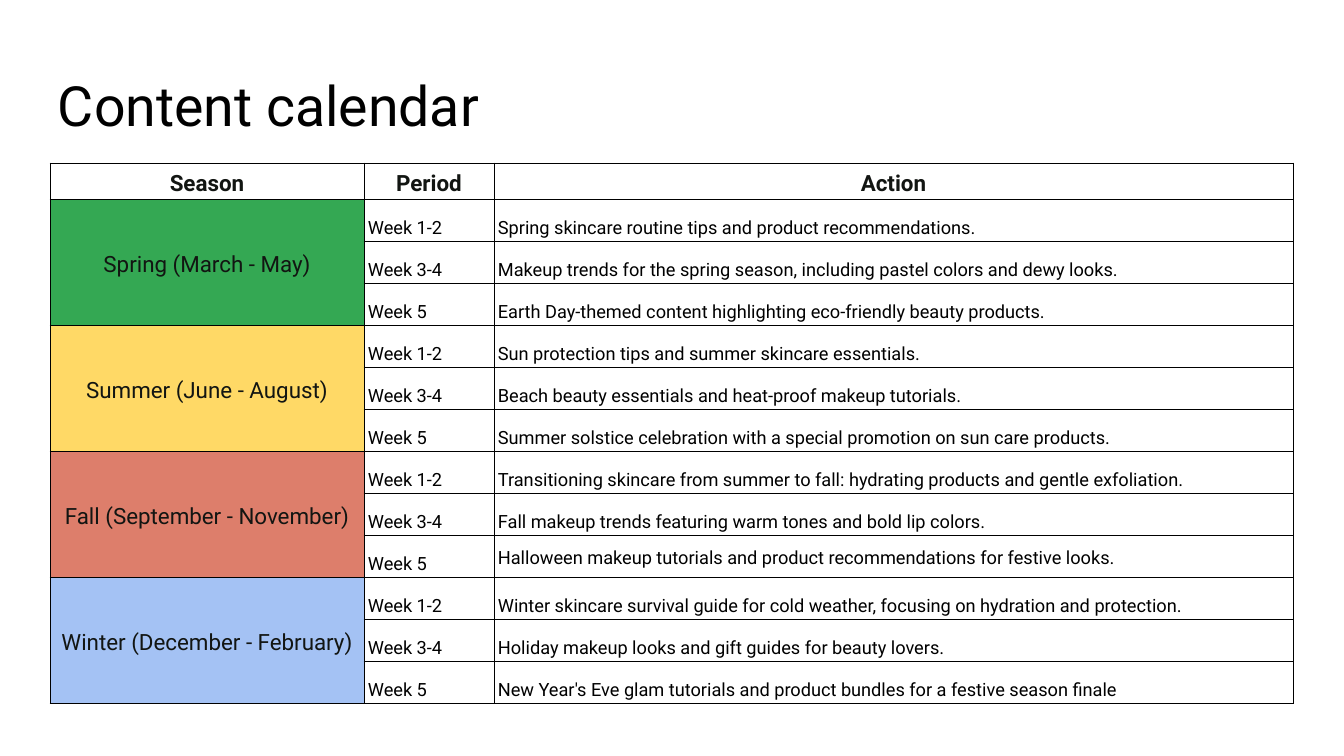
import lxml.etree
import pptx
import pptx.dml.color
import pptx.enum.text
import pptx.oxml.ns
import pptx.util

# Content
TITLE = "Content calendar"
HEADINGS = ["Season", "Period", "Action"]
PERIODS = ["Week 1-2", "Week 3-4", "Week 5"]
SEASONS = [
    ("Spring (March - May)", "34A853", [
        "Spring skincare routine tips and product recommendations.",
        "Makeup trends for the spring season, including pastel colors and dewy looks.",
        "Earth Day-themed content highlighting eco-friendly beauty products.",
    ]),
    ("Summer (June - August)", "FFD966", [
        "Sun protection tips and summer skincare essentials.",
        "Beach beauty essentials and heat-proof makeup tutorials.",
        "Summer solstice celebration with a special promotion on sun care products.",
    ]),
    ("Fall (September - November)", "DD7E6B", [
        "Transitioning skincare from summer to fall: hydrating products and gentle exfoliation.",
        "Fall makeup trends featuring warm tones and bold lip colors.",
        "Halloween makeup tutorials and product recommendations for festive looks.",
    ]),
    ("Winter (December - February)", "A4C2F4", [
        "Winter skincare survival guide for cold weather, focusing on hydration and protection.",
        "Holiday makeup looks and gift guides for beauty lovers.",
        "New Year's Eve glam tutorials and product bundles for a festive season finale",
    ]),
]

# Layout in px and styling
TITLE_BOX = (45, 66, 1252, 84)
TITLE_INSET = 13
TABLE_LEFT, TABLE_TOP = 50, 163
COLUMN_WIDTHS = [314, 130, 799]
HEADER_HEIGHT, ROW_HEIGHT = 35, 42
FONT, INK, BLACK, WHITE = "Roboto", "121512", "000000", "FFFFFF"
BORDER_POINTS = 0.68

ANCHOR = pptx.enum.text.MSO_ANCHOR
ALIGN = pptx.enum.text.PP_ALIGN


def px(length):
    return pptx.util.Emu(round(length * 914400 / 100.8))


def color(value):
    return pptx.dml.color.RGBColor.from_string(value)


def write(para, text, size, ink, spacing, align=ALIGN.LEFT, bold=False):
    para.text = text
    para.alignment = align
    para.line_spacing = spacing
    para.font.name = FONT
    para.font.size = pptx.util.Pt(size)
    para.font.bold = bold
    para.font.color.rgb = color(ink)


def add_borders(cell):
    properties = cell._tc.get_or_add_tcPr()
    qn = pptx.oxml.ns.qn
    for index, side in enumerate(["lnL", "lnR", "lnT", "lnB"]):
        line = lxml.etree.Element(qn("a:" + side), w=str(pptx.util.Pt(BORDER_POINTS)))
        fill = lxml.etree.SubElement(line, qn("a:solidFill"))
        lxml.etree.SubElement(fill, qn("a:srgbClr"), val=BLACK)
        properties.insert(index, line)


def fill_cell(cell, text, fill, anchor, **style):
    cell.vertical_anchor = anchor
    cell.fill.solid()
    cell.fill.fore_color.rgb = color(fill)
    write(cell.text_frame.paragraphs[0], text, spacing=1.15, **style)


deck = pptx.Presentation()
deck.slide_width, deck.slide_height = px(1344), px(756)
page = deck.slides.add_slide(deck.slide_layouts[6])

# Title
box = page.shapes.add_textbox(*map(px, TITLE_BOX))
frame = box.text_frame
frame.word_wrap = True
frame.vertical_anchor = ANCHOR.MIDDLE
frame.margin_left = frame.margin_right = px(TITLE_INSET)
frame.margin_top = frame.margin_bottom = px(TITLE_INSET)
write(frame.paragraphs[0], TITLE, 39.6, BLACK, 0.9)

# Table grid
row_heights = [HEADER_HEIGHT] + [ROW_HEIGHT] * len(SEASONS) * len(PERIODS)
table = page.shapes.add_table(
    len(row_heights), len(COLUMN_WIDTHS), px(TABLE_LEFT), px(TABLE_TOP),
    px(sum(COLUMN_WIDTHS)), px(sum(row_heights))).table
table.first_row = table.horz_banding = False
for column, width in zip(table.columns, COLUMN_WIDTHS):
    column.width = px(width)
for row, height in zip(table.rows, row_heights):
    row.height = px(height)
for cell in table.iter_cells():
    cell.margin_left = cell.margin_right = px(4)
    cell.margin_top = cell.margin_bottom = px(3)
    add_borders(cell)

# Header row
for column, heading in enumerate(HEADINGS):
    fill_cell(table.cell(0, column), heading, WHITE, ANCHOR.BOTTOM,
              size=16, ink=INK, align=ALIGN.CENTER, bold=True)

# One merged season cell beside its periods and actions
for number, (season, fill, actions) in enumerate(SEASONS):
    first = 1 + number * len(PERIODS)
    season_cell = table.cell(first, 0)
    season_cell.merge(table.cell(first + len(PERIODS) - 1, 0))
    fill_cell(season_cell, season, fill, ANCHOR.MIDDLE,
              size=16, ink=INK, align=ALIGN.CENTER)
    for row, (period, action) in enumerate(zip(PERIODS, actions), first):
        anchor = ANCHOR.MIDDLE if action.startswith("Halloween") else ANCHOR.BOTTOM
        fill_cell(table.cell(row, 1), period, WHITE, ANCHOR.BOTTOM, size=13, ink=BLACK)
        fill_cell(table.cell(row, 2), action, WHITE, anchor, size=13, ink=BLACK)

deck.save("out.pptx")
